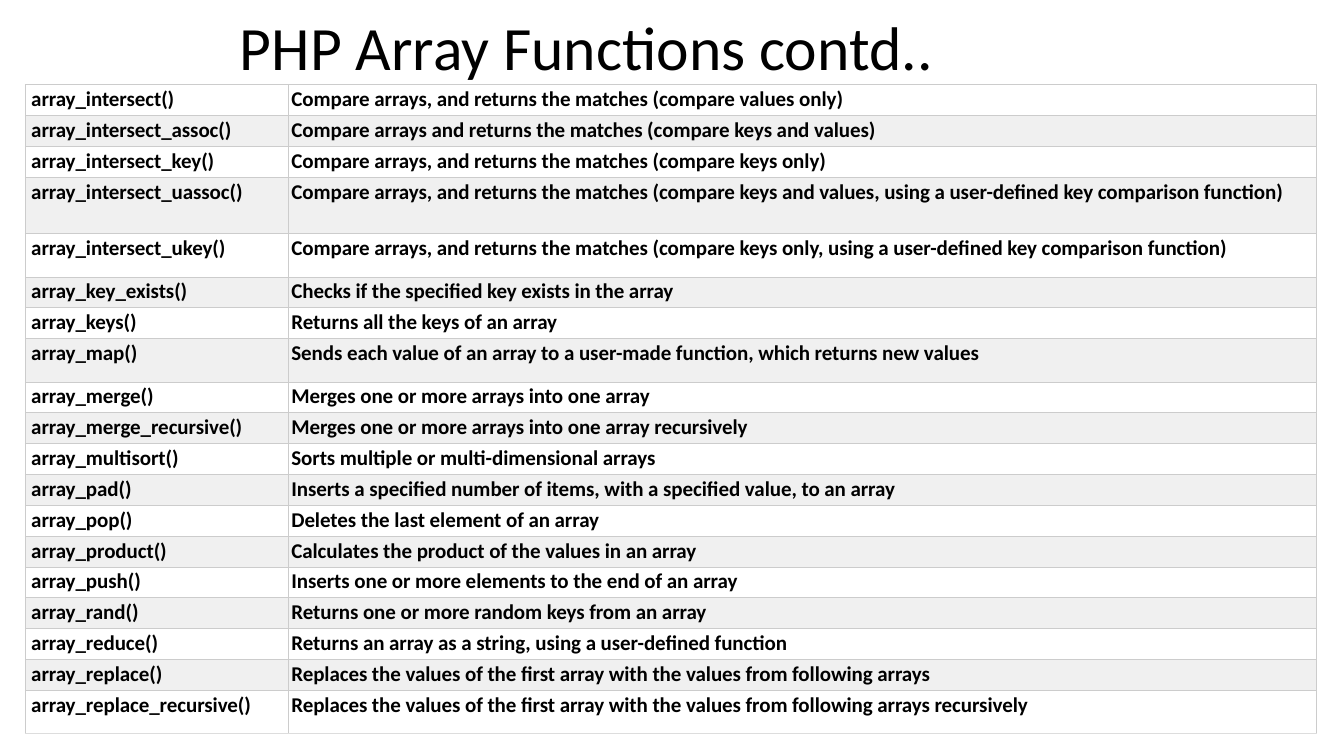
from lxml.etree import SubElement
from pptx import Presentation
from pptx.dml.color import RGBColor
from pptx.enum.text import MSO_ANCHOR
from pptx.oxml.ns import qn
from pptx.util import Inches, Pt

BLACK = RGBColor(0x00, 0x00, 0x00)
WHITE = RGBColor(0xFF, 0xFF, 0xFF)
BAND = RGBColor(0xF0, 0xF0, 0xF0)
RULE = RGBColor(0xCC, 0xCC, 0xCC)
LAST_RULE = RGBColor(0xDD, 0xDD, 0xDD)

FUNCTIONS = [
    ("array_intersect()", "Compare arrays, and returns the matches (compare values only)"),
    ("array_intersect_assoc()", "Compare arrays and returns the matches (compare keys and values)"),
    ("array_intersect_key()", "Compare arrays, and returns the matches (compare keys only)"),
    ("array_intersect_uassoc()", "Compare arrays, and returns the matches (compare keys and values, "
                                 "using a user-defined key comparison function)"),
    ("array_intersect_ukey()", "Compare arrays, and returns the matches (compare keys only, "
                               "using a user-defined key comparison function)"),
    ("array_key_exists()", "Checks if the specified key exists in the array"),
    ("array_keys()", "Returns all the keys of an array"),
    ("array_map()", "Sends each value of an array to a user-made function, which returns new values"),
    ("array_merge()", "Merges one or more arrays into one array"),
    ("array_merge_recursive()", "Merges one or more arrays into one array recursively"),
    ("array_multisort()", "Sorts multiple or multi-dimensional arrays"),
    ("array_pad()", "Inserts a specified number of items, with a specified value, to an array"),
    ("array_pop()", "Deletes the last element of an array"),
    ("array_product()", "Calculates the product of the values in an array"),
    ("array_push()", "Inserts one or more elements to the end of an array"),
    ("array_rand()", "Returns one or more random keys from an array"),
    ("array_reduce()", "Returns an array as a string, using a user-defined function"),
    ("array_replace()", "Replaces the values of the first array with the values from following arrays"),
    ("array_replace_recursive()", "Replaces the values of the first array with the values from "
                                  "following arrays recursively"),
]
TALL_ROWS = {3: 0.56, 4: 0.43, 7: 0.43, 18: 0.43}
TABLE_HEIGHT = 6.44
COLUMN_WIDTHS = (2.61, 10.2)
COLUMN_INDENTS = (0.06, 0.03)


class ReferenceSlide:
    font = "Calibri"
    title_size = 44
    cell_size = 15
    cell_tracking = -5

    def __init__(self, deck):
        self.slide = deck.slides.add_slide(deck.slide_layouts[6])

    def add_text(self, paragraph, text, size, bold=False, tracking=0):
        run = paragraph.add_run()
        run.text = text
        run.font.name = self.font
        run.font.size = Pt(size)
        run.font.bold = bold
        run.font.color.rgb = BLACK
        if tracking:
            run._r.get_or_add_rPr().set("spc", str(tracking))

    def title(self, text, left, top, width, height):
        frame = self.slide.shapes.add_textbox(
            Inches(left), Inches(top), Inches(width), Inches(height)).text_frame
        frame.word_wrap = True
        frame.vertical_anchor = MSO_ANCHOR.MIDDLE
        frame.margin_left = frame.margin_right = frame.margin_bottom = 0
        frame.margin_top = Inches(0.01)
        heading = frame.paragraphs[0]
        heading.space_before = Pt(1)
        self.add_text(heading, text, self.title_size)

    def borders(self, cell, bottom):
        properties = cell._tc.get_or_add_tcPr()
        for side, color in (("L", RULE), ("R", RULE), ("T", RULE), ("B", bottom)):
            line = SubElement(properties, qn(f"a:ln{side}"), w=str(Pt(0.75)))
            fill = SubElement(line, qn("a:solidFill"))
            SubElement(fill, qn("a:srgbClr"), val=str(color))

    def cell(self, cell, text, indent, background, bottom):
        cell.margin_left = Inches(indent)
        cell.margin_right = cell.margin_bottom = 0
        cell.margin_top = Inches(0.02)
        self.borders(cell, bottom)
        cell.fill.solid()
        cell.fill.fore_color.rgb = background
        entry = cell.text_frame.paragraphs[0]
        entry.space_before = Pt(1.4)
        self.add_text(entry, text, self.cell_size, True, self.cell_tracking)

    def table(self, rows, left, top):
        table = self.slide.shapes.add_table(
            len(rows), len(COLUMN_WIDTHS), Inches(left), Inches(top),
            Inches(sum(COLUMN_WIDTHS)), Inches(TABLE_HEIGHT)).table
        table.first_row = False
        table.horz_banding = False
        for column, width in zip(table.columns, COLUMN_WIDTHS):
            column.width = Inches(width)
        row_height = (TABLE_HEIGHT - sum(TALL_ROWS.values())) / (len(rows) - len(TALL_ROWS))
        for index, texts in enumerate(rows):
            table.rows[index].height = Inches(TALL_ROWS.get(index, row_height))
            background = BAND if index % 2 else WHITE
            bottom = LAST_RULE if index == len(rows) - 1 else RULE
            for column, text in enumerate(texts):
                self.cell(table.cell(index, column), text,
                          COLUMN_INDENTS[column], background, bottom)


def main():
    deck = Presentation()
    deck.slide_width = Inches(13.33)
    deck.slide_height = Inches(7.5)
    reference = ReferenceSlide(deck)
    reference.title("PHP Array Functions contd..", 2.38, 0.08, 8.35, 0.75)
    reference.table(FUNCTIONS, 0.25, 0.84)
    deck.save("out.pptx")


if __name__ == "__main__":
    main()
